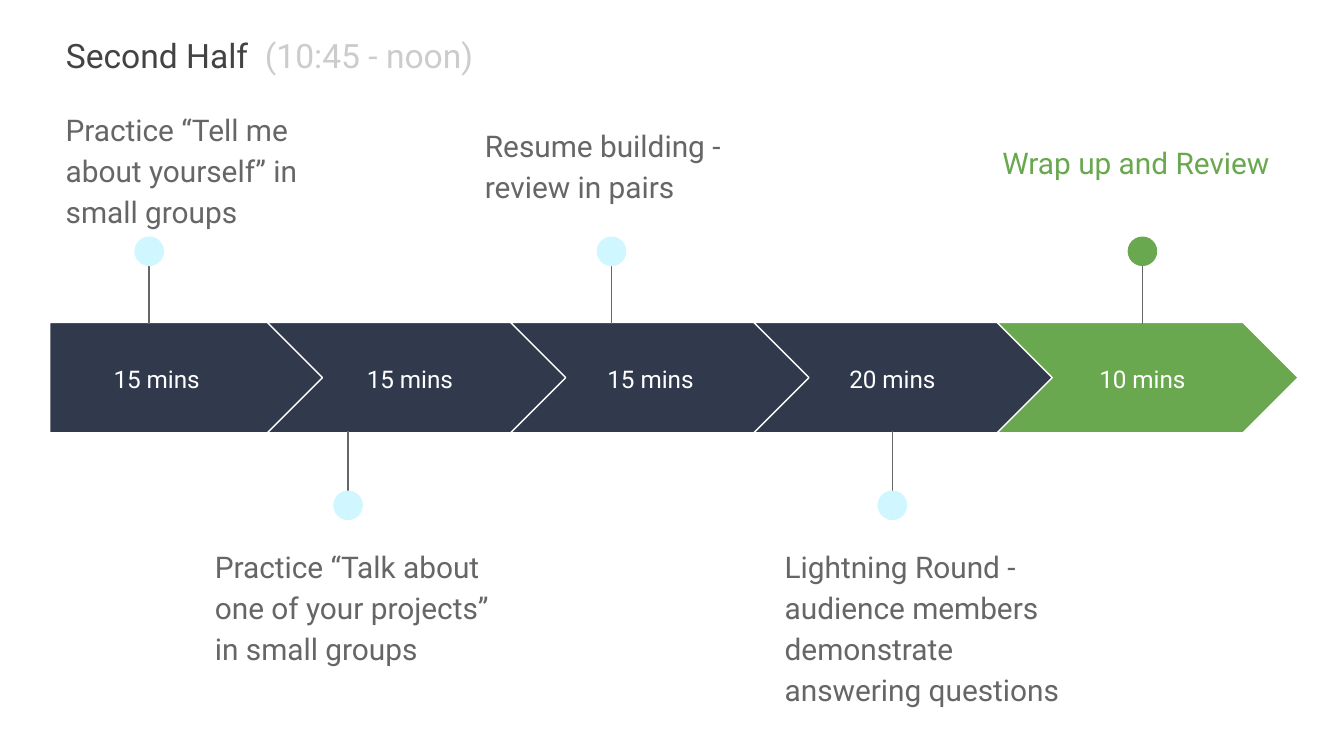
from dataclasses import dataclass

from lxml import etree
from pptx import Presentation
from pptx.dml.color import RGBColor
from pptx.enum.shapes import MSO_CONNECTOR, MSO_SHAPE
from pptx.enum.text import MSO_ANCHOR, MSO_AUTO_SIZE, PP_ALIGN
from pptx.oxml.ns import qn
from pptx.slide import Slide
from pptx.util import Inches, Pt

STRAIGHT = MSO_CONNECTOR.STRAIGHT
CHEVRON, PENTAGON, OVAL = MSO_SHAPE.CHEVRON, MSO_SHAPE.PENTAGON, MSO_SHAPE.OVAL
LEFT, CENTER = PP_ALIGN.LEFT, PP_ALIGN.CENTER
TOP, MIDDLE = MSO_ANCHOR.TOP, MSO_ANCHOR.MIDDLE
TITLE_ONLY = 5


@dataclass(frozen=True)
class Theme:
    font: str = "Roboto"
    navy: RGBColor = RGBColor(0x31, 0x39, 0x4D)
    green: RGBColor = RGBColor(0x6A, 0xA8, 0x4F)
    pale_blue: RGBColor = RGBColor(0xD0, 0xF6, 0xFF)
    gray: RGBColor = RGBColor(0x66, 0x66, 0x66)
    dark_gray: RGBColor = RGBColor(0x43, 0x43, 0x43)
    light_gray: RGBColor = RGBColor(0xCC, 0xCC, 0xCC)
    white: RGBColor = RGBColor(0xFF, 0xFF, 0xFF)
    title_size: Pt = Pt(18)
    note_size: Pt = Pt(16)
    label_size: Pt = Pt(13)
    line_width: Pt = Pt(0.75)


THEME = Theme()


@dataclass(frozen=True)
class Step:
    duration: str
    label_left: float
    label_width: float
    note: str
    note_left: float
    note_top: float
    pin_x: float
    above: bool
    final: bool = False


STEPS = [
    Step("15 mins", 0.37, 1.59, "Practice “Tell me about yourself” in small groups",
         0.39, 0.69, 1.11, above=True),
    Step("15 mins", 2.33, 1.44, "Practice “Talk about one of your projects” in small groups",
         1.5, 3.94, 2.59, above=False),
    Step("15 mins", 4.12, 1.44, "Resume building - review in pairs",
         3.51, 0.81, 4.55, above=True),
    Step("20 mins", 5.92, 1.44,
         "Lightning Round - audience members demonstrate answering questions",
         5.74, 3.94, 6.64, above=False),
    Step("10 mins", 7.78, 1.44, "Wrap up and Review",
         7.36, 0.94, 8.5, above=True, final=True),
]

# Page and timeline geometry, in inches
PAGE_WIDTH = 10
PAGE_HEIGHT = PAGE_WIDTH * 9 / 16
BAND_TOP, BAND_HEIGHT = 2.4, 0.82
FIRST_LEFT, FIRST_WIDTH = 0.37, 2.05
CHEVRON_LEFT, CHEVRON_WIDTH, CHEVRON_STEP = 1.99, 2.24, 1.81
DOT_SIZE = 0.22


def format_frame(frame, anchor: MSO_ANCHOR) -> None:
    frame.word_wrap = True
    frame.auto_size = MSO_AUTO_SIZE.NONE
    frame.vertical_anchor = anchor
    frame.margin_left = frame.margin_right = Inches(0.1)
    frame.margin_top = frame.margin_bottom = Inches(0.1)


def add_text(page: Slide, text: str, left: float, top: float, width: float,
             height: float, size: Pt, color: RGBColor,
             align: PP_ALIGN = LEFT, anchor: MSO_ANCHOR = TOP):
    box = page.shapes.add_textbox(Inches(left), Inches(top), Inches(width), Inches(height))
    format_frame(box.text_frame, anchor)
    para = box.text_frame.paragraphs[0]
    para.text = text
    para.alignment = align
    para.font.name, para.font.size = THEME.font, size
    para.font.color.rgb = color
    return para


def add_solid(page: Slide, kind: MSO_SHAPE, left: float, top: float,
              width: float, height: float, fill: RGBColor):
    shape = page.shapes.add_shape(kind, Inches(left), Inches(top),
                                  Inches(width), Inches(height))
    shape.shadow.inherit = False
    shape.fill.solid()
    shape.fill.fore_color.rgb = fill
    shape.line.fill.background()
    return shape


def add_arrow(page: Slide, index: int, step: Step) -> None:
    if index == 0:
        kind, left, width = PENTAGON, FIRST_LEFT, FIRST_WIDTH
    else:
        kind, width = CHEVRON, CHEVRON_WIDTH
        left = CHEVRON_LEFT + (index - 1) * CHEVRON_STEP
    fill = THEME.green if step.final else THEME.navy
    arrow = add_solid(page, kind, left, BAND_TOP, width, BAND_HEIGHT, fill)
    arrow.line.color.rgb = THEME.white
    arrow.line.width = THEME.line_width
    add_text(page, step.duration, step.label_left, 2.56, step.label_width, 0.51,
             THEME.label_size, THEME.white, CENTER, MIDDLE)


def add_pin(page: Slide, step: Step) -> None:
    outer, inner, dot_top = (1.8, 2.41, 1.76) if step.above else (3.82, 3.21, 3.65)
    stem = page.shapes.add_connector(STRAIGHT, Inches(step.pin_x), Inches(outer),
                                     Inches(step.pin_x), Inches(inner))
    stem.line.color.rgb = THEME.gray
    stem.line.width = THEME.line_width
    etree.SubElement(stem._element.spPr, qn("a:effectLst"))
    add_solid(page, OVAL, step.pin_x - DOT_SIZE / 2, dot_top, DOT_SIZE, DOT_SIZE,
              THEME.green if step.final else THEME.pale_blue)


def add_note(page: Slide, step: Step) -> None:
    para = add_text(page, step.note, step.note_left, step.note_top, 2.45, 0.99,
                    THEME.note_size, THEME.green if step.final else THEME.gray)
    para.line_spacing = 1.15
    para.space_after = Pt(16)


def set_title(page: Slide) -> None:
    title = page.shapes.title
    title.left, title.top = Inches(0.39), Inches(0.16)
    title.width, title.height = Inches(4.22), Inches(0.6)
    format_frame(title.text_frame, TOP)
    para = title.text_frame.paragraphs[0]
    para.alignment = LEFT
    para.font.name, para.font.size = THEME.font, THEME.title_size
    for text, color in (("Second Half  ", THEME.dark_gray),
                        ("(10:45 - noon)", THEME.light_gray)):
        span = para.add_run()
        span.text = text
        span.font.color.rgb = color


def main() -> None:
    deck = Presentation()
    deck.slide_width, deck.slide_height = Inches(PAGE_WIDTH), Inches(PAGE_HEIGHT)
    page = deck.slides.add_slide(deck.slide_layouts[TITLE_ONLY])

    # Heading
    set_title(page)

    # Timeline, from left to right
    for index, step in enumerate(STEPS):
        add_arrow(page, index, step)
        add_pin(page, step)
        add_note(page, step)

    deck.save("out.pptx")


if __name__ == "__main__":
    main()
